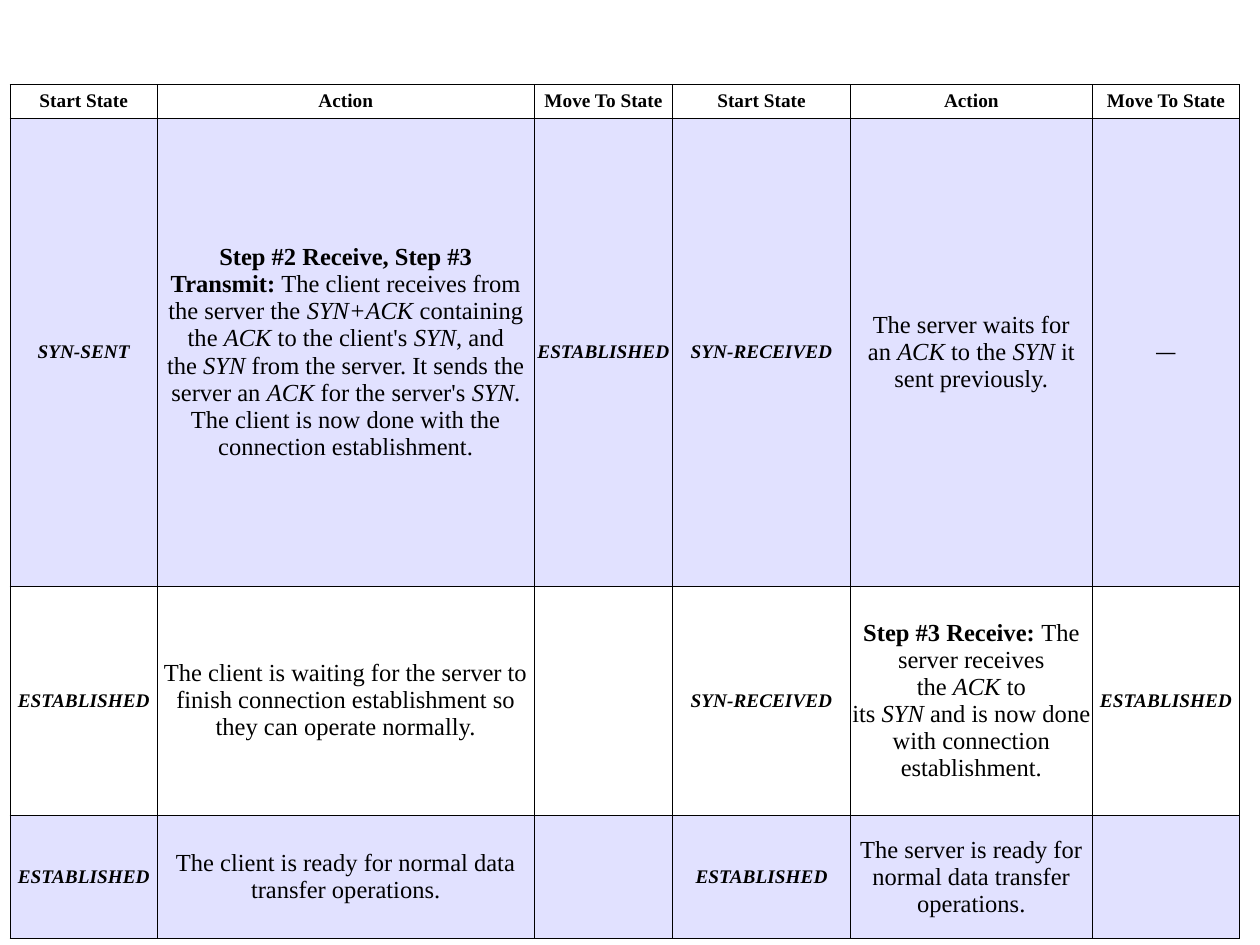
from lxml.etree import SubElement
from pptx import Presentation
from pptx.dml.color import RGBColor
from pptx.enum.text import MSO_ANCHOR, PP_ALIGN
from pptx.oxml.ns import qn
from pptx.util import Inches, Pt

# Content: "|" ends a bold lead-in, *...* marks italics, a newline breaks the line
HEADINGS = ["Start State", "Action", "Move To State"] * 2
STEPS = [
    ["SYN-SENT",
     "Step #2 Receive, Step #3 Transmit:| The client receives from the server the "
     "*SYN+ACK* containing the *ACK* to the client's *SYN*, and the *SYN* from the server. "
     "It sends the server an *ACK* for the server's *SYN*. "
     "The client is now done with the connection establishment.",
     "ESTABLISHED", "SYN-RECEIVED",
     "The server waits for an *ACK *to the *SYN* it sent previously.", "—"],
    ["ESTABLISHED",
     "The client is waiting for the server to finish connection establishment "
     "so they can operate normally.",
     "", "SYN-RECEIVED",
     "Step #3 Receive:| The server receives the *ACK* to\nits *SYN* "
     "and is now done with connection establishment.",
     "ESTABLISHED"],
    ["ESTABLISHED", "The client is ready for normal data transfer operations.",
     "", "ESTABLISHED", "The server is ready for normal data transfer operations.", ""],
]

# Theme and layout
THEME = {
    "font": "Times New Roman",
    "text": RGBColor(0, 0, 0),
    "border": "000000",
    "border_width": Pt(0.45),
    "shaded": RGBColor(0xE1, 0xE1, 0xFF),
    "label_size": Pt(11),
    "action_size": Pt(14),
}
LEFT, TOP = 0.08, 0.67
COLUMN_WIDTHS = [1.17, 2.99, 1.1, 1.41, 1.92, 1.17]
ROW_HEIGHTS = [0.22, 3.71, 1.82, 0.98]
NBSP = chr(160)


def glue(text):
    """Turn the spaces at both ends into non-breaking ones."""
    if text.startswith(" "):
        text = NBSP + text[1:]
    if text.endswith(" "):
        text = text[:-1] + NBSP
    return text


def write_text(cell, text, *, size, bold=False, italic=False):
    paragraph = cell.text_frame.paragraphs[0]
    paragraph.alignment = PP_ALIGN.CENTER
    paragraph.font.size = size

    def add_run(words, is_bold, is_italic):
        for number, line in enumerate(words.split("\n")):
            if number:
                paragraph.add_line_break()
            if line:
                run = paragraph.add_run()
                run.text = line
                run.font.name = THEME["font"]
                run.font.size = size
                run.font.bold = is_bold
                run.font.italic = is_italic
                run.font.color.rgb = THEME["text"]

    lead, _, body = text.rpartition("|")
    add_run(lead, True, False)
    for number, words in enumerate(body.split("*")):
        emphasised = number % 2 == 1
        add_run(words if emphasised else glue(words), bold, italic or emphasised)


def style_cell(cell, shaded):
    cell.vertical_anchor = MSO_ANCHOR.MIDDLE
    cell.margin_left = cell.margin_right = Inches(0.01)
    cell.margin_top = cell.margin_bottom = Inches(0.05)
    # Borders come before the fill in the cell properties
    properties = cell._tc.get_or_add_tcPr()
    for side in ("lnL", "lnR", "lnT", "lnB"):
        line = SubElement(properties, qn(f"a:{side}"), w=str(THEME["border_width"]))
        SubElement(SubElement(line, qn("a:solidFill")), qn("a:srgbClr"), val=THEME["border"])
    if shaded:
        cell.fill.solid()
        cell.fill.fore_color.rgb = THEME["shaded"]
    else:
        cell.fill.background()


def main():
    presentation = Presentation()
    presentation.slide_width, presentation.slide_height = Inches(10), Inches(7.5)
    slide = presentation.slides.add_slide(presentation.slide_layouts[6])

    # Handshake table
    handshake = slide.shapes.add_table(
        len(ROW_HEIGHTS), len(COLUMN_WIDTHS), Inches(LEFT), Inches(TOP),
        Inches(sum(COLUMN_WIDTHS)), Inches(sum(ROW_HEIGHTS))).table
    handshake.first_row = handshake.horz_banding = False
    for column, width in zip(handshake.columns, COLUMN_WIDTHS):
        column.width = Inches(width)
    for row, height in zip(handshake.rows, ROW_HEIGHTS):
        row.height = Inches(height)

    # Headings, then states in bold italics and actions in larger plain text
    for row_number, row_content in enumerate([HEADINGS] + STEPS):
        is_heading = row_number == 0
        for heading, cell, text in zip(HEADINGS, handshake.rows[row_number].cells, row_content):
            style_cell(cell, shaded=row_number % 2 == 1)
            if heading == "Action" and not is_heading:
                write_text(cell, text, size=THEME["action_size"])
            else:
                write_text(cell, text, size=THEME["label_size"],
                           bold=True, italic=not is_heading)

    presentation.save("out.pptx")


if __name__ == "__main__":
    main()
